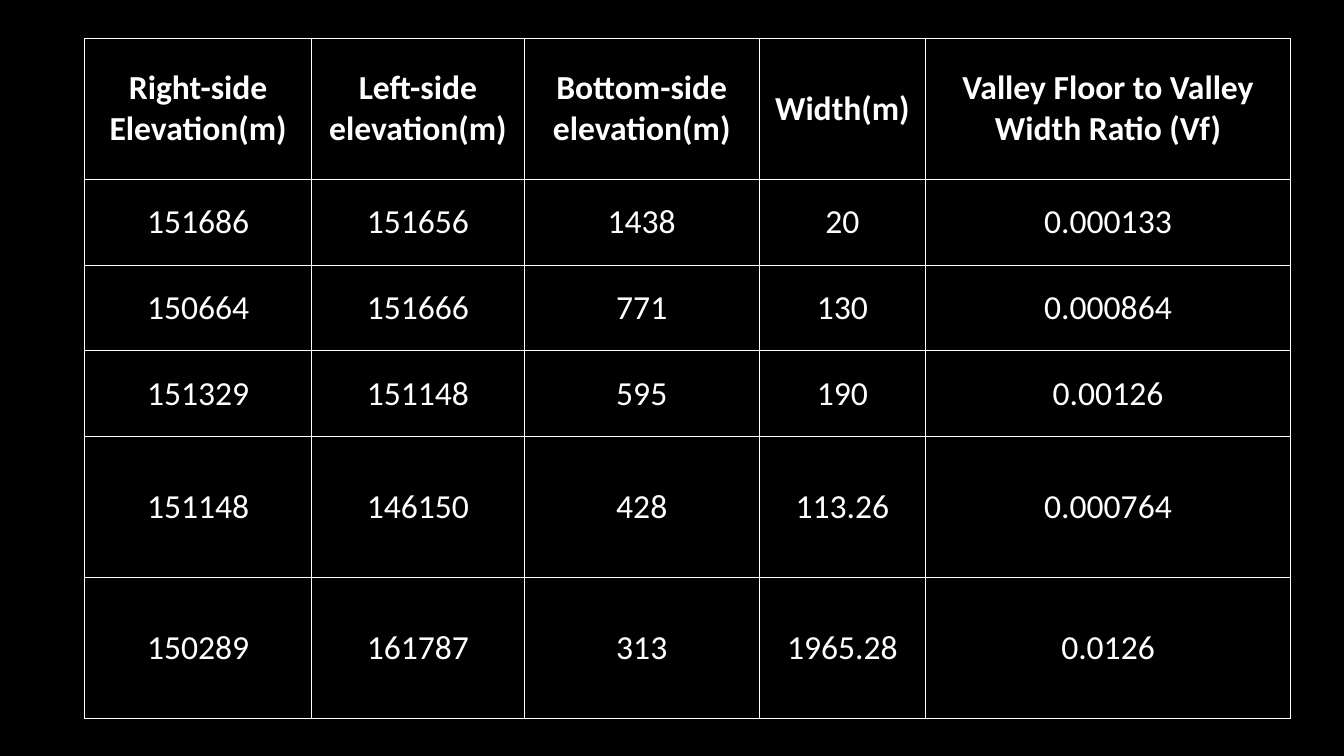
from pptx import Presentation
from pptx.dml.color import RGBColor
from pptx.enum.text import MSO_ANCHOR, PP_ALIGN
from pptx.oxml import parse_xml
from pptx.oxml.ns import nsdecls
from pptx.util import Inches, Pt

COLORS = {"background": "000000", "text": "FFFFFF", "border": "FFFFFF"}
COLUMN_WIDTHS = [2.25, 2.11, 2.33, 1.65, 3.62]
ROW_HEIGHTS = [1.4, 0.85, 0.85, 0.85, 1.4, 1.4]
MEASUREMENTS = [
    ["Right-side Elevation(m)", "Left-side elevation(m)", "Bottom-side elevation(m)",
     "Width(m)", "Valley Floor to Valley Width Ratio (Vf)"],
    ["151686", "151656", "1438", "20", "0.000133"],
    ["150664", "151666", "771", "130", "0.000864"],
    ["151329", "151148", "595", "190", "0.00126"],
    ["151148", "146150", "428", "113.26", "0.000764"],
    ["150289", "161787", "313", "1965.28", "0.0126"],
]


def add_borders(cell):
    properties = cell._tc.get_or_add_tcPr()
    for position, side in enumerate("LRTB"):
        properties.insert(position, parse_xml(
            f'<a:ln{side} {nsdecls("a")} w="{Pt(1)}"><a:solidFill>'
            f'<a:srgbClr val="{COLORS["border"]}"/></a:solidFill></a:ln{side}>'))


prs = Presentation()
prs.slide_width, prs.slide_height = Inches(13.33), Inches(7.5)
slide = prs.slides.add_slide(prs.slide_layouts[6])
slide.background.fill.solid()
slide.background.fill.fore_color.rgb = RGBColor.from_string(COLORS["background"])

valley_table = slide.shapes.add_table(
    len(ROW_HEIGHTS), len(COLUMN_WIDTHS), Inches(0.84), Inches(0.38),
    Inches(sum(COLUMN_WIDTHS)), Inches(sum(ROW_HEIGHTS))).table
valley_table.horz_banding = False
for column, width in zip(valley_table.columns, COLUMN_WIDTHS):
    column.width = Inches(width)

for row_index, (row, height) in enumerate(zip(valley_table.rows, ROW_HEIGHTS)):
    row.height = Inches(height)
    for cell, value in zip(row.cells, MEASUREMENTS[row_index]):
        cell.text = value
        cell.vertical_anchor = MSO_ANCHOR.MIDDLE
        cell.margin_left = cell.margin_right = Inches(0.07)
        cell.margin_top = cell.margin_bottom = Inches(0.05)
        cell.fill.solid()
        cell.fill.fore_color.rgb = RGBColor.from_string(COLORS["background"])
        add_borders(cell)
        paragraph = cell.text_frame.paragraphs[0]
        paragraph.alignment = PP_ALIGN.CENTER
        paragraph.font.name = "Calibri"
        paragraph.font.size = Pt(24)
        paragraph.font.bold = row_index == 0
        paragraph.font.color.rgb = RGBColor.from_string(COLORS["text"])

prs.save("out.pptx")
